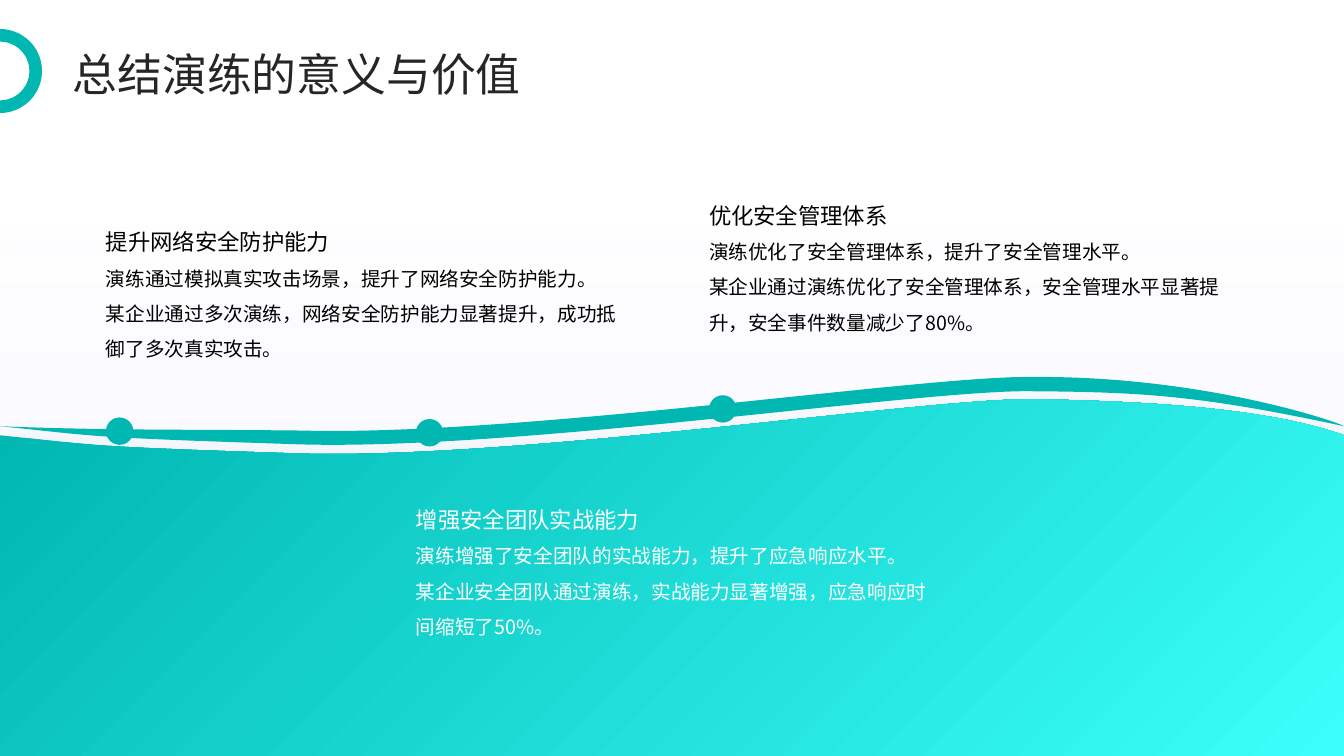
import pptx
import pptx.util
import pptx.dml.color
import pptx.enum.shapes
import pptx.enum.text
import pptx.oxml.ns
import lxml.etree

Cm = pptx.util.Cm
qn = pptx.oxml.ns.qn
SHAPE = pptx.enum.shapes.MSO_SHAPE
ANCHOR = pptx.enum.text.MSO_ANCHOR
FONT = "Noto Sans CJK SC"
TEAL = "00B7B2"
WIDTH, HEIGHT = 33.87, 19.05


def rgb(value):
    return pptx.dml.color.RGBColor.from_string(value)


def write(sp, lines, size, color, spacing, anchor):
    tf = sp.text_frame
    tf.word_wrap = True
    tf.auto_size = pptx.enum.text.MSO_AUTO_SIZE.NONE
    tf.vertical_anchor = anchor
    tf.margin_left = tf.margin_right = tf.margin_top = tf.margin_bottom = 0
    p = tf.paragraphs[0]
    p.alignment = pptx.enum.text.PP_ALIGN.LEFT
    p.line_spacing = spacing
    p.space_before = pptx.util.Pt(0)
    for i, line in enumerate(lines):
        if i:
            p.add_line_break()
        r = p.add_run()
        r.text = line
        r.font.size = pptx.util.Pt(size)
        r.font.name = FONT
        r.font.color.rgb = rgb(color)
        lxml.etree.SubElement(r.font._element, qn("a:ea"), typeface=FONT)


prs = pptx.Presentation()
prs.slide_width, prs.slide_height = Cm(WIDTH), Cm(HEIGHT)
s = prs.slides.add_slide(prs.slide_layouts[5])
s.background.fill.solid()
s.background.fill.fore_color.rgb = rgb("FFFFFF")

backdrop = s.shapes.add_shape(SHAPE.RECTANGLE, 0, 0, Cm(WIDTH), Cm(HEIGHT))

sea_outline = [
    [(26.04, 10.06)],
    [(28.75, 10.11), (31.9, 10.26), (WIDTH, 10.97)],
    [(WIDTH, HEIGHT)],
    [(0, HEIGHT)],
    [(0, 10.97)],
    [(2.54, 11.23), (2.06, 11.25), (7.59, 11.43)],
    [(13.11, 11.58), (23.34, 10.03), (26.04, 10.06)],
]
ribbon_outline = [
    [(26.04, 9.5)],
    [(30.43, 9.47), (WIDTH, 10.69), (WIDTH, 10.74)],
    [(30.25, 9.96), (28.75, 9.88), (26.04, 9.86)],
    [(23.34, 9.8), (13.11, 11.35), (7.59, 11.2)],
    [(2.06, 11.02), (2.54, 11), (0, 10.74)],
    [(2.54, 10.85), (5.05, 10.82), (7.59, 10.85)],
    [(13.11, 11), (23.34, 9.45), (26.04, 9.5)],
]
waves = []
for outline in (sea_outline, ribbon_outline):
    points = [(Cm(x), Cm(y)) for segment in outline for x, y in segment]
    builder = s.shapes.build_freeform(*points[0])
    builder.add_line_segments(points[1:], close=True)
    sp = builder.convert_to_shape()
    lines = iter(list(sp._element.iter(qn("a:lnTo"))))
    for segment in outline[1:]:
        parts = [next(lines) for point in segment]
        if len(parts) == 3:
            curve = parts[0]
            bezier = lxml.etree.Element(qn("a:cubicBezTo"))
            curve.addprevious(bezier)
            for part in parts:
                bezier.append(part[0])
                part.getparent().remove(part)
    sp.shadow.inherit = False
    sp.line.fill.background()
    waves.append(sp)
sea, ribbon = waves
ribbon.fill.solid()
ribbon.fill.fore_color.rgb = rgb(TEAL)

backdrop.shadow.inherit = False
backdrop.line.fill.background()
gradients = [
    (backdrop, 270, [("BCBCFF", 0.29, 0), ("7979FF", 1, 15)]),
    (sea, 315, [(TEAL, 0.01, 100), ("3BFFFA", 1, 100)]),
]
for sp, angle, stops in gradients:
    sp.fill.gradient()
    sp.fill.gradient_angle = angle
    for stop, (color, position, opacity) in zip(sp.fill.gradient_stops, stops):
        stop.color.rgb = rgb(color)
        stop.position = position
    for node, (color, position, opacity) in zip(sp._element.iter(qn("a:srgbClr")), stops):
        if opacity < 100:
            lxml.etree.SubElement(node, qn("a:alpha"), val=str(opacity * 1000))

effects = sea._element.spPr.find(qn("a:effectLst"))
shadow = lxml.etree.SubElement(
    effects, qn("a:outerShdw"), blurRad=str(pptx.util.Pt(26)),
    dist=str(pptx.util.Pt(15)), dir="5400000", algn="t", rotWithShape="0")
tint = lxml.etree.SubElement(shadow, qn("a:srgbClr"), val="008985")
lxml.etree.SubElement(tint, qn("a:alpha"), val="25000")

sections = [
    (2.67, 4.78, 10.52, "000000", "提升网络安全防护能力",
     ["演练通过模拟真实攻击场景，提升了网络安全防护能力。",
      "某企业通过多次演练，网络安全防护能力显著提升，成功抵御了多次真实攻击。"]),
    (17.87, 4.11, 9.96, "000000", "优化安全管理体系",
     ["演练优化了安全管理体系，提升了安全管理水平。",
      "某企业通过演练优化了安全管理体系，安全管理水平显著提升，安全事件数量减少了80%。"]),
    (10.48, 11.78, 10.56, "FFFFFF", "增强安全团队实战能力",
     ["演练增强了安全团队的实战能力，提升了应急响应水平。",
      "某企业安全团队通过演练，实战能力显著增强，应急响应时间缩短了50%。"]),
]
for x, y, dot_y, color, heading, body in sections:
    sp = s.shapes.add_textbox(Cm(x), Cm(y), Cm(12.9), Cm(1.65))
    write(sp, [heading], 16, color, 1.3, ANCHOR.BOTTOM)
    sp = s.shapes.add_textbox(Cm(x), Cm(y + 1.64), Cm(12.9), Cm(3.2))
    write(sp, body, 14, color, 1.5, ANCHOR.TOP)
    for inset, size in ((0, 0.69), (0.24, 0.2)):
        sp = s.shapes.add_shape(SHAPE.OVAL, Cm(x + inset), Cm(dot_y + inset), Cm(size), Cm(size))
        sp.shadow.inherit = False
        sp.fill.solid()
        sp.fill.fore_color.rgb = rgb(TEAL)
        sp.line.fill.background()

ring = s.shapes.add_shape(SHAPE.OVAL, Cm(-0.9), Cm(0.89), Cm(1.8), Cm(1.8))
ring.shadow.inherit = False
ring.fill.background()
ring.line.color.rgb = rgb(TEAL)
ring.line.width = pptx.util.Pt(9)

title = s.shapes.title
title.left, title.top, title.width, title.height = Cm(1.83), Cm(1.19), Cm(30.18), Cm(1.19)
write(title, ["总结演练的意义与价值"], 32, "262626", 1.1, ANCHOR.MIDDLE)
s.shapes._spTree.append(title._element)

prs.save("out.pptx")
